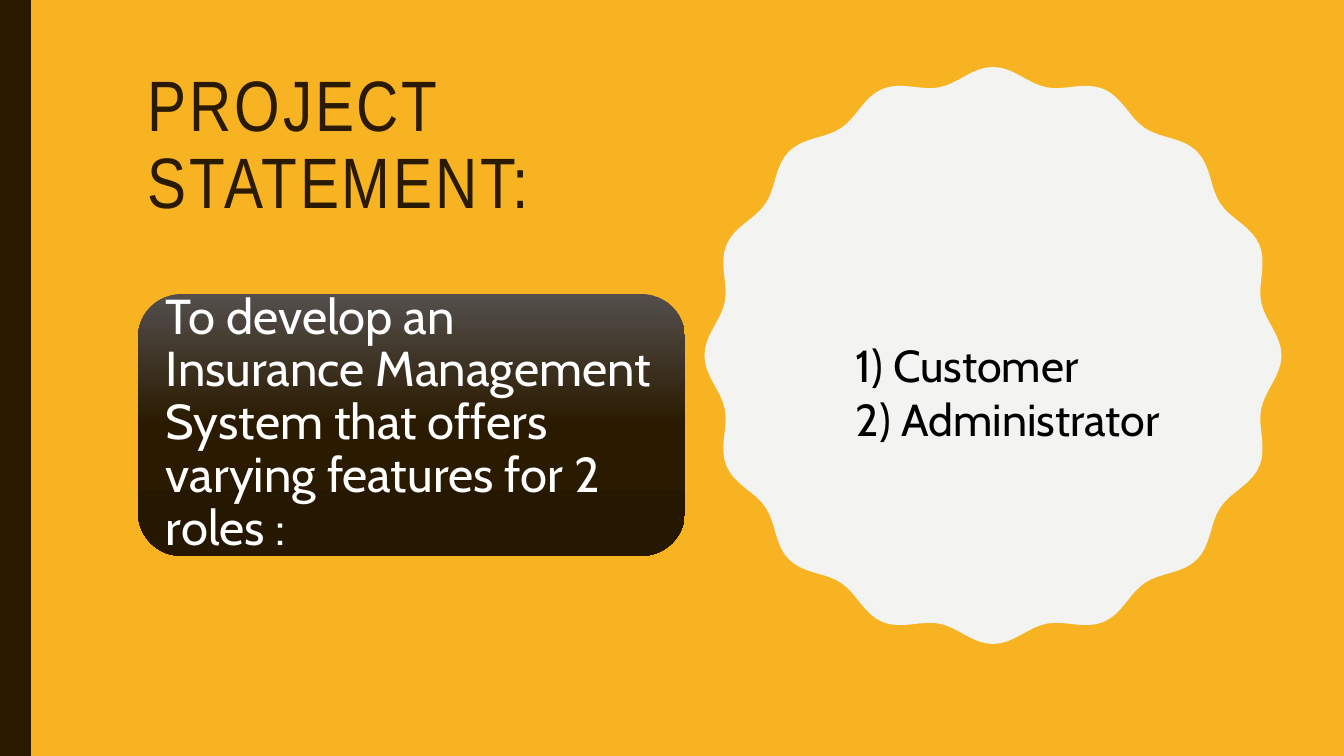
from copy import deepcopy
from dataclasses import dataclass
from math import cos, pi, sin

from pptx import Presentation
from pptx.dml.color import RGBColor
from pptx.enum.shapes import MSO_SHAPE as Preset
from pptx.enum.text import MSO_ANCHOR as Anchor
from pptx.util import Pt

PX = 914400 / 100.8
COLOURS = {
    "amber": "F8B323",
    "brown": "2A1A00",
    "dark brown": "251700",
    "taupe": "544F4C",
    "pale": "F3F3F2",
    "white": "FFFFFF",
    "black": "000000",
}


def emu(px: float) -> int:
    return round(px * PX)


def rgb(name: str) -> RGBColor:
    return RGBColor.from_string(COLOURS[name])


@dataclass
class TextBlock:
    area: tuple[int, int, int, int]
    lines: list[str]
    font: str
    size: int
    colour: str
    anchor: Anchor = Anchor.MIDDLE
    inset: int = 10
    line_spacing: float = 1.0
    letter_spacing: int = 0


TEXT_BLOCKS = [
    TextBlock((138, 65, 538, 164), ["PROJECT STATEMENT:"], "Arial Narrow", 51,
              "brown", line_spacing=0.9, letter_spacing=2),
    TextBlock((151, 306, 522, 236),
              ["To develop an Insurance Management System that offers "
               "varying features for 2 roles :"],
              "Cabin", 35, "white", inset=15, line_spacing=0.9),
    TextBlock((846, 333, 401, 119), ["1) Customer", "2) Administrator"],
              "Cabin", 32, "black", anchor=Anchor.TOP),
]


def add_preset(page, preset: Preset, area: tuple[int, int, int, int]):
    shape = page.shapes.add_shape(preset, *map(emu, area))
    shape.shadow.inherit = False
    shape.line.fill.background()
    return shape


def add_statement_card(page) -> None:
    fill = add_preset(page, Preset.ROUNDED_RECTANGLE, (138, 294, 547, 262)).fill
    fill.gradient()
    fill.gradient_angle = 270
    # A new gradient has two stops; the card needs three
    stop_list = fill._fill._gradFill.gsLst
    stop_list.append(deepcopy(stop_list[-1]))
    names = ["taupe", "brown", "dark brown"]
    for stop, name, position in zip(fill.gradient_stops, names, [0, 0.5, 1]):
        stop.color.rgb = rgb(name)
        stop.position = position


def add_seal(page, centre: tuple[float, float], radius: float,
             wave: float, lobes: int) -> None:
    steps = lobes * 16
    points = []
    for step in range(steps):
        angle = 2 * pi * step / steps
        reach = radius + wave * cos(lobes * angle)
        points.append((emu(centre[0] + reach * sin(angle)),
                       emu(centre[1] - reach * cos(angle))))
    builder = page.shapes.build_freeform(*points[0])
    builder.add_line_segments(points[1:], close=True)
    seal = builder.convert_to_shape()
    seal.shadow.inherit = False
    seal.fill.solid()
    seal.fill.fore_color.rgb = rgb("pale")
    seal.line.fill.background()


def add_text(page, block: TextBlock) -> None:
    box = page.shapes.add_textbox(*map(emu, block.area))
    frame = box.text_frame
    frame.word_wrap = True
    frame.vertical_anchor = block.anchor
    frame.margin_left = frame.margin_right = emu(block.inset)
    frame.margin_top = frame.margin_bottom = emu(block.inset / 2)
    frame.text = "\n".join(block.lines)
    for para in frame.paragraphs:
        para.line_spacing = block.line_spacing
        for span in para.runs:
            span.font.name = block.font
            span.font.size = Pt(block.size)
            span.font.color.rgb = rgb(block.colour)
            if block.letter_spacing:
                span.font._element.set("spc", str(block.letter_spacing * 100))


def main() -> None:
    deck = Presentation()
    deck.slide_width, deck.slide_height = emu(1344), emu(756)
    page = deck.slides.add_slide(deck.slide_layouts[6])

    # Background and side band
    page.background.fill.solid()
    page.background.fill.fore_color.rgb = rgb("amber")
    band = add_preset(page, Preset.RECTANGLE, (0, 0, 31, 756))
    band.fill.solid()
    band.fill.fore_color.rgb = rgb("brown")

    # Scalloped seal and statement card
    add_seal(page, centre=(993, 355.5), radius=281, wave=7.5, lobes=16)
    add_statement_card(page)

    # Title, statement and roles
    for block in TEXT_BLOCKS:
        add_text(page, block)

    deck.save("out.pptx")


if __name__ == "__main__":
    main()
